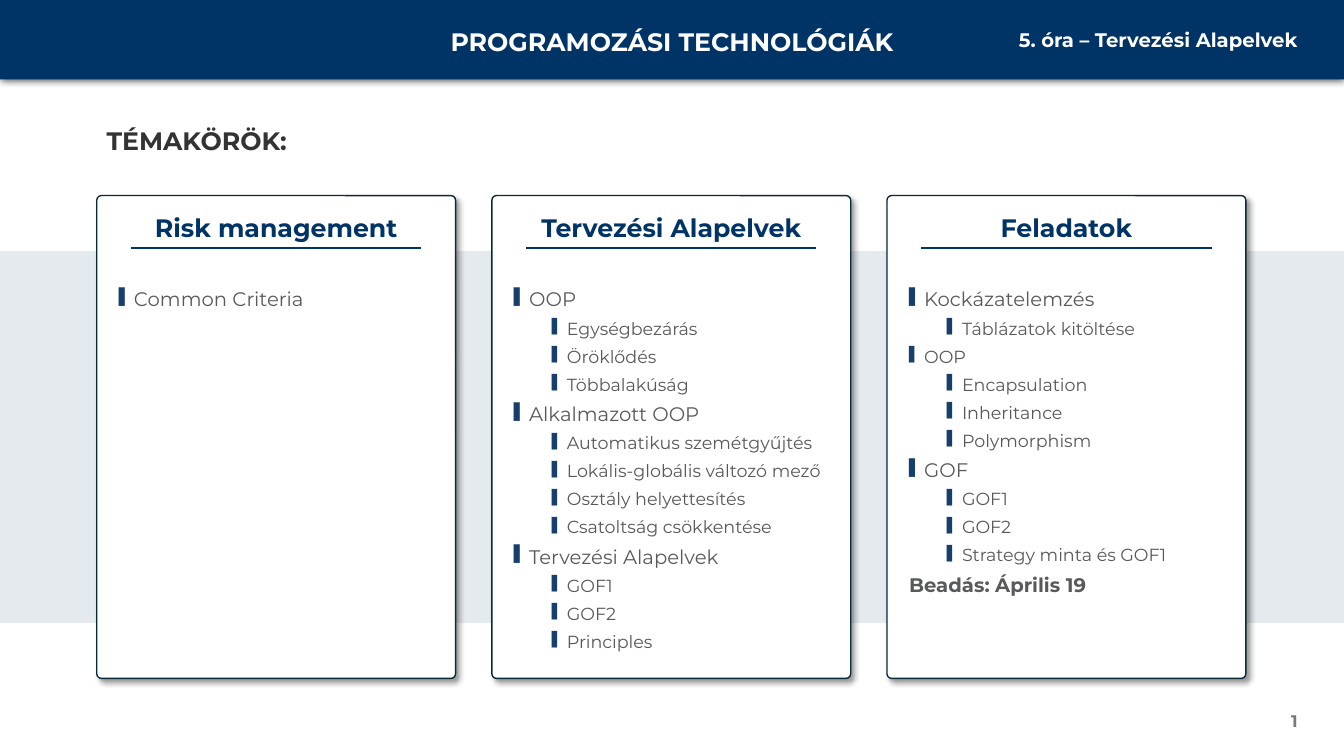
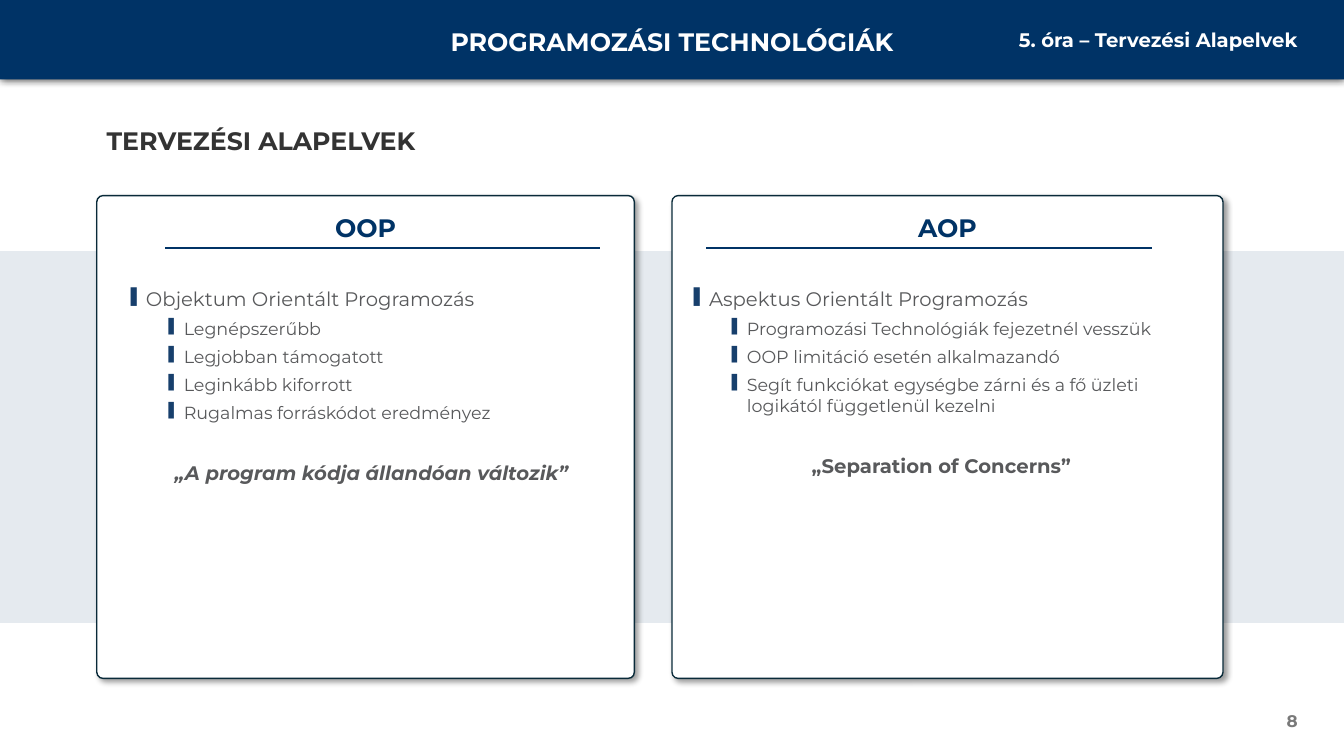
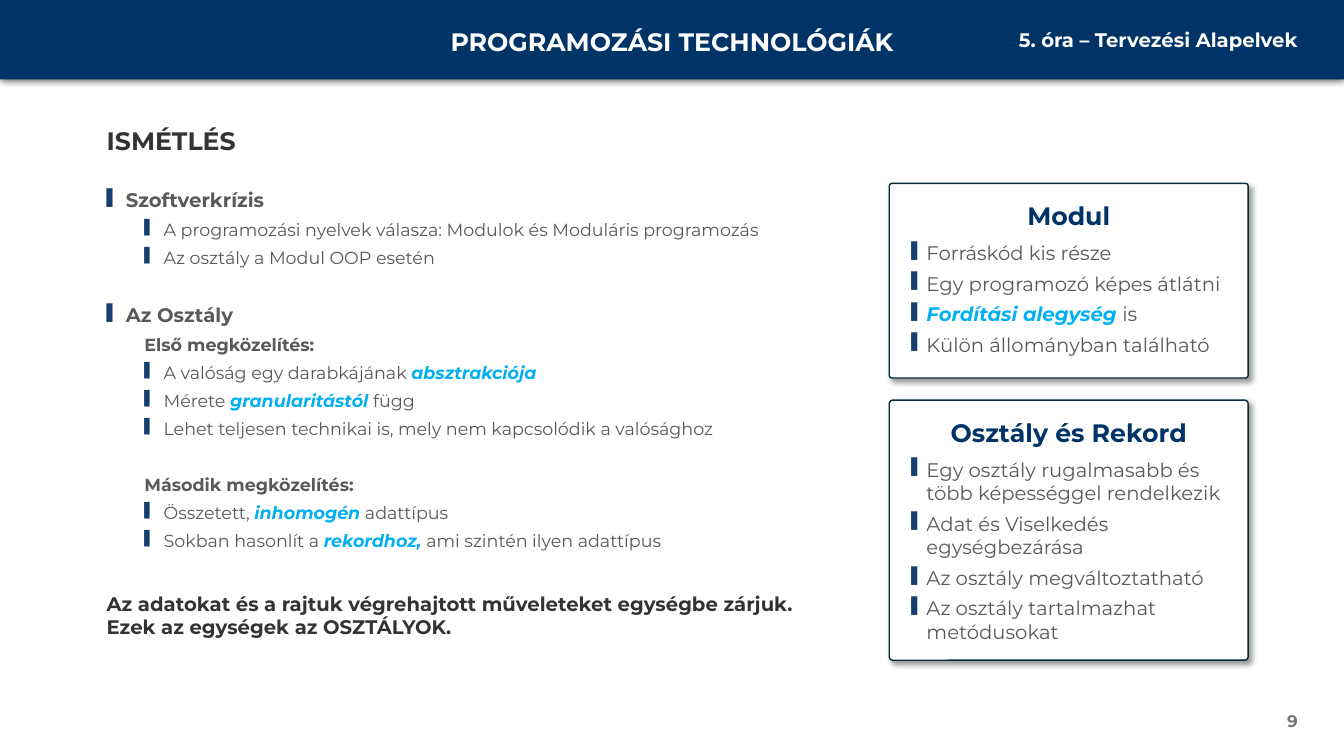
from dataclasses import dataclass

from lxml.etree import SubElement
from pptx import Presentation
from pptx.dml.color import RGBColor
from pptx.enum.shapes import MSO_CONNECTOR, MSO_SHAPE
from pptx.enum.text import MSO_ANCHOR, PP_ALIGN
from pptx.oxml.ns import qn
from pptx.util import Inches, Pt

WIDTH, HEIGHT = Inches(13.33), Inches(7.5)
FONT = "Montserrat"
COLORS = {
    "navy": "003366",
    "white": "FFFFFF",
    "outline": "092A39",
    "heading": "333333",
    "body": "58595B",
    "bullet": "173F6C",
    "accent": "00B0F0",
    "number": "797979",
}

# Shares of the slide in percent
MARGIN = 7.2
CARD_WIDTH, CARD_STEP = 26.7, 29.4
CARD_TOP, CARD_HEIGHT = 25.87, 63.87
SIDE_LEFT = 66.17
TITLE_HEIGHT = 5.33
PAD_X, PAD_Y = 0.9, 1.6
LEVEL_INDENT = 0.375  # inches


@dataclass
class Line:
    """One paragraph; text between asterisks is accented."""
    text: str
    level: int = 0
    size: float = 14
    bold: bool = False
    italic: bool = False
    bullet: bool = True
    color: str = "body"
    align: PP_ALIGN = PP_ALIGN.LEFT
    gap: float = 0


def points(*texts):
    return [Line(text, level=1, size=12.5) for text in texts]


def topic(title, *texts, **style):
    return [Line(title, **style), *points(*texts)]


def remark(text, **style):
    return Line(text, bold=True, bullet=False, **style)


def rgb(name):
    return RGBColor.from_string(COLORS[name])


def across(share):
    return round(WIDTH * share / 100)


def down(share):
    return round(HEIGHT * share / 100)


def place(left, top, width, height):
    return across(left), down(top), across(width), down(height)


def add_shadow(shape, alpha, blur, distance, angle):
    effects = SubElement(shape._element.spPr, qn("a:effectLst"))
    shadow = SubElement(effects, qn("a:outerShdw"), blurRad=str(Pt(blur)),
                        dist=str(Pt(distance)), dir=str(angle * 60000),
                        algn="t", rotWithShape="0")
    color = SubElement(shadow, qn("a:srgbClr"), val="000000")
    SubElement(color, qn("a:alpha"), val=str(alpha * 1000))


def add_panel(slide, area, fill, preset=MSO_SHAPE.RECTANGLE, shadow=None):
    panel = slide.shapes.add_shape(preset, *place(*area))
    panel.fill.solid()
    panel.fill.fore_color.rgb = rgb(fill)
    panel.line.fill.background()
    if shadow:
        add_shadow(panel, *shadow)
    else:
        panel.shadow.inherit = False
    return panel


def format_run(run, size, color, bold=False, italic=False):
    run.font.name = FONT
    run.font.size = Pt(size)
    run.font.bold = bold
    run.font.italic = italic
    run.font.color.rgb = rgb(color)


def add_frame(slide, area):
    frame = slide.shapes.add_textbox(*place(*area)).text_frame
    frame.word_wrap = True
    return frame


def add_label(slide, text, area, color, size=18, align=PP_ALIGN.LEFT):
    frame = add_frame(slide, area)
    frame.text = text
    paragraph = frame.paragraphs[0]
    paragraph.alignment = align
    format_run(paragraph.runs[0], size, color, bold=True)
    return frame


def set_bullet(paragraph, level, bullet, hang):
    props = paragraph._p.get_or_add_pPr()
    hang = hang if bullet else 0
    props.set("marL", str(Inches(LEVEL_INDENT * level + hang)))
    props.set("indent", str(-Inches(hang)))
    if bullet:
        color = SubElement(props, qn("a:buClr"))
        SubElement(color, qn("a:srgbClr"), val=COLORS["bullet"])
        SubElement(props, qn("a:buSzPct"), val="80000")
        SubElement(props, qn("a:buChar"), char="▌")
    else:
        SubElement(props, qn("a:buNone"))


def fill_paragraph(paragraph, line, hang):
    paragraph.level = line.level
    paragraph.alignment = line.align
    paragraph.space_before = Pt(3 + line.gap)
    paragraph.space_after = Pt(2)
    set_bullet(paragraph, line.level, line.bullet, hang)
    for row, row_text in enumerate(line.text.split("\n")):
        if row:
            paragraph.add_line_break()
        for index, piece in enumerate(row_text.split("*")):
            if not piece:
                continue
            accented = index % 2 == 1
            run = paragraph.add_run()
            run.text = piece
            format_run(run, line.size, "accent" if accented else line.color,
                       line.bold or accented, line.italic or accented)


def add_lines(slide, area, lines, hang=0.15):
    frame = add_frame(slide, area)
    for index, line in enumerate(lines):
        paragraph = frame.add_paragraph() if index else frame.paragraphs[0]
        fill_paragraph(paragraph, line, hang)


def add_rule(slide, left, right, top):
    rule = slide.shapes.add_connector(MSO_CONNECTOR.STRAIGHT, across(left),
                                      down(top), across(right), down(top))
    rule.line.color.rgb = rgb("navy")
    rule.line.width = Pt(1.5)
    SubElement(rule._element.spPr, qn("a:effectLst"))


def add_card(slide, title, lines, left, width=CARD_WIDTH, top=CARD_TOP,
             height=CARD_HEIGHT, rule=None, insets=(PAD_X, PAD_X)):
    """Rule and insets are distances from the card's left and right edges."""
    card = add_panel(slide, (left, top, width, height), "white",
                     MSO_SHAPE.ROUNDED_RECTANGLE, shadow=(40, 4, 3, 45))
    card.adjustments[0] = 0.013
    card.line.color.rgb = rgb("outline")
    card.line.width = Pt(1)
    add_label(slide, title, (left, top + PAD_Y, width, TITLE_HEIGHT), "navy",
              align=PP_ALIGN.CENTER)
    offset, bottom = TITLE_HEIGHT + PAD_Y, PAD_Y
    if rule:
        add_rule(slide, left + rule[0], left + width - rule[1], top + offset)
        offset, bottom = 11.47, 2 * PAD_Y
    add_lines(slide, (left + insets[0], top + offset, width - sum(insets),
                      height - offset - bottom), lines)


def start_slide(deck, heading, number, band=True):
    slide = deck.slides.add_slide(deck.slide_layouts[6])
    if band:
        stripe = add_panel(slide, (0, 33.2, 100, 49.2), "navy")
        tint = stripe._element.spPr.find(f".//{qn('a:srgbClr')}")
        SubElement(tint, qn("a:alpha"), val="10000")
    add_panel(slide, (0, 0, 100, 10.5), "navy", shadow=(80, 6, 0, 90))
    add_label(slide, "PROGRAMOZÁSI TECHNOLÓGIÁK",
              (30.4, 2.8, 39.2, TITLE_HEIGHT), "white", align=PP_ALIGN.CENTER)
    add_label(slide, "5. óra – Tervezési Alapelvek", (71.9, 3.07, 25.4, 4.5),
              "white", 14, PP_ALIGN.RIGHT)
    add_label(slide, heading, (MARGIN, 15.87, CARD_WIDTH, TITLE_HEIGHT), "heading")
    page = add_label(slide, str(number), (74.8, 92.67, 22.5, TITLE_HEIGHT),
                     "number", 12, PP_ALIGN.RIGHT)
    page.vertical_anchor = MSO_ANCHOR.MIDDLE
    return slide


def build_topics(deck):
    slide = start_slide(deck, "TÉMAKÖRÖK:", 1)
    cards = [
        ("Risk management", topic("Common Criteria")),
        ("Tervezési Alapelvek", [
            *topic("OOP", "Egységbezárás", "Öröklődés", "Többalakúság"),
            *topic("Alkalmazott OOP", "Automatikus szemétgyűjtés",
                   "Lokális-globális változó mező", "Osztály helyettesítés",
                   "Csatoltság csökkentése"),
            *topic("Tervezési Alapelvek", "GOF1", "GOF2", "Principles"),
        ]),
        ("Feladatok", [
            *topic("Kockázatelemzés", "Táblázatok kitöltése"),
            *topic("OOP", "Encapsulation", "Inheritance", "Polymorphism", size=12.5),
            *topic("GOF", "GOF1", "GOF2", "Strategy minta és GOF1"),
            remark("Beadás: Április 19"),
        ]),
    ]
    for column, (title, lines) in enumerate(cards):
        add_card(slide, title, lines, MARGIN + column * CARD_STEP,
                 rule=(2.55, 2.55))


def build_principles(deck):
    slide = start_slide(deck, "TERVEZÉSI ALAPELVEK", 8)
    quote = {"align": PP_ALIGN.CENTER, "gap": 22}
    add_card(slide, "OOP", [
        *topic("Objektum Orientált Programozás", "Legnépszerűbb",
               "Legjobban támogatott", "Leginkább kiforrott",
               "Rugalmas forráskódot eredményez"),
        remark("„A program kódja állandóan változik”", italic=True, **quote),
    ], MARGIN, 40, rule=(5.1, 2.55), insets=(2 * PAD_X, PAD_X))
    add_card(slide, "AOP", [
        *topic("Aspektus Orientált Programozás",
               "Programozási Technológiák fejezetnél vesszük",
               "OOP limitáció esetén alkalmazandó",
               "Segít funkciókat egységbe zárni és a fő üzleti logikától "
               "függetlenül kezelni"),
        remark("„Separation of Concerns”", **quote),
    ], 50, 41, rule=(2.55, 5.3), insets=(PAD_X, 2 * PAD_X))


def build_review(deck):
    slide = start_slide(deck, "ISMÉTLÉS", 9, band=False)
    approach = {"level": 1, "size": 12.5}
    add_lines(slide, (MARGIN, 24.27, 90.2, 68.4), [
        *topic("Szoftverkrízis",
               "A programozási nyelvek válasza: Modulok és Moduláris programozás",
               "Az osztály a Modul OOP esetén", bold=True),
        Line("Az Osztály", bold=True, gap=20.2),
        remark("Első megközelítés:", **approach),
        *points("A valóság egy darabkájának *absztrakciója*",
                "Mérete *granularitástól* függ",
                "Lehet teljesen technikai is, mely nem kapcsolódik a valósághoz"),
        remark("Második megközelítés:", gap=20.2, **approach),
        *points("Összetett, *inhomogén* adattípus",
                "Sokban hasonlít a *rekordhoz, *ami szintén ilyen adattípus"),
        remark("Az adatokat és a rajtuk végrehajtott műveleteket egységbe zárjuk.\n"
               "Ezek az egységek az OSZTÁLYOK.", color="heading", gap=23.9),
    ], hang=0.19)
    cards = [
        ("Modul", 24.27, 25.73,
         ["Forráskód kis része", "Egy programozó képes átlátni",
          "*Fordítási alegység *is", "Külön állományban található"]),
        ("Osztály és Rekord", 52.93, 34.4,
         ["Egy osztály rugalmasabb és több képességgel rendelkezik",
          "Adat és Viselkedés egységbezárása", "Az osztály megváltoztatható",
          "Az osztály tartalmazhat metódusokat"]),
    ]
    for title, top, height, facts in cards:
        add_card(slide, title, [Line(fact) for fact in facts], SIDE_LEFT,
                 top=top, height=height)


def main():
    deck = Presentation()
    deck.slide_width, deck.slide_height = WIDTH, HEIGHT
    build_topics(deck)
    build_principles(deck)
    build_review(deck)
    deck.save("out.pptx")


if __name__ == "__main__":
    main()
